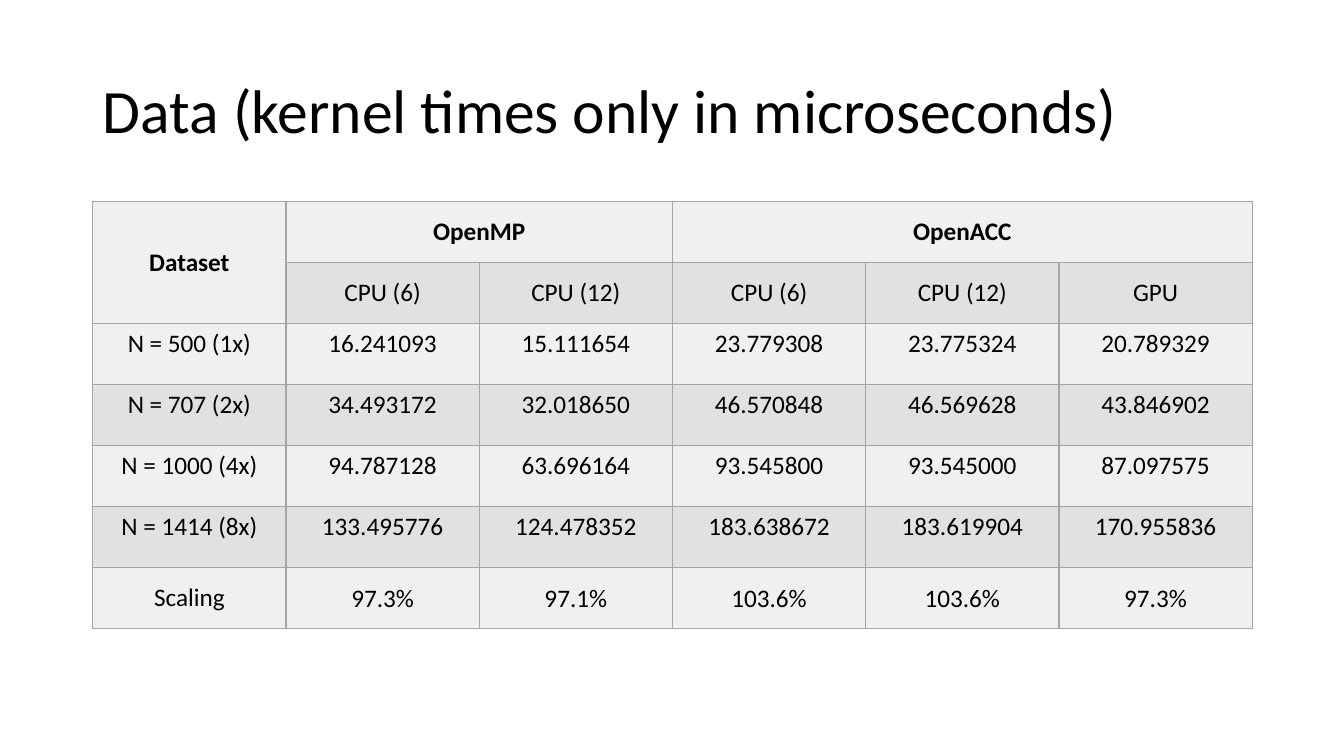
from dataclasses import dataclass
from lxml.etree import SubElement
from pptx import Presentation
from pptx.dml.color import RGBColor
from pptx.enum.text import MSO_ANCHOR, MSO_AUTO_SIZE, PP_ALIGN
from pptx.oxml.ns import qn
from pptx.util import Inches, Pt


@dataclass(frozen=True)
class Theme:
    font: str = "Calibri"
    text: RGBColor = RGBColor(0, 0, 0)
    bands: tuple = (RGBColor(0xF0, 0xF0, 0xF0), RGBColor(0xE1, 0xE1, 0xE1))
    border: str = "A5A5A5"
    border_width: int = Pt(1)
    title_size: int = Pt(44)
    cell_size: int = Pt(18)


theme = Theme()


def style(p, size, align, bold=False):
    p.alignment = align
    p.font.name = theme.font
    p.font.size = size
    p.font.bold = bold
    p.font.color.rgb = theme.text


def add_borders(cell):
    tcPr = cell._tc.get_or_add_tcPr()
    for side in ("lnL", "lnR", "lnT", "lnB"):
        ln = SubElement(tcPr, qn(f"a:{side}"), w=str(theme.border_width))
        fill = SubElement(ln, qn("a:solidFill"))
        SubElement(fill, qn("a:srgbClr"), val=theme.border)


rows = [
    ["Dataset", "OpenMP", "", "OpenACC", "", ""],
    ["", "CPU (6)", "CPU (12)", "CPU (6)", "CPU (12)", "GPU"],
    ["N = 500 (1x)", "16.241093", "15.111654", "23.779308", "23.775324", "20.789329"],
    ["N = 707 (2x)", "34.493172", "32.018650", "46.570848", "46.569628", "43.846902"],
    ["N = 1000 (4x)", "94.787128", "63.696164", "93.545800", "93.545000", "87.097575"],
    ["N = 1414 (8x)", "133.495776", "124.478352", "183.638672", "183.619904", "170.955836"],
    ["Scaling", "97.3%", "97.1%", "103.6%", "103.6%", "97.3%"],
]
merges = [((0, 0), (1, 0)), ((0, 1), (0, 2)), ((0, 3), (0, 5))]
middle_rows = (0, 1, len(rows) - 1)

prs = Presentation()
prs.slide_width, prs.slide_height = Inches(13.33), Inches(7.5)
s = prs.slides.add_slide(prs.slide_layouts[5])

title = s.shapes.title
title.left, title.top = Inches(0.92), Inches(0.4)
title.width, title.height = Inches(11.5), Inches(1.45)
tf = title.text_frame
tf.text = "Data (kernel times only in microseconds)"
tf.word_wrap = True
tf.auto_size = MSO_AUTO_SIZE.NONE
tf.vertical_anchor = MSO_ANCHOR.MIDDLE
style(tf.paragraphs[0], theme.title_size, PP_ALIGN.LEFT)
tf.paragraphs[0].line_spacing = 0.9

table = s.shapes.add_table(
    len(rows), len(rows[0]), Inches(0.92), Inches(2), Inches(11.5), Inches(4.24)
).table
for r, values in enumerate(rows):
    for c, value in enumerate(values):
        cell = table.cell(r, c)
        cell.text = value
        style(cell.text_frame.paragraphs[0], theme.cell_size, PP_ALIGN.CENTER, r == 0)
        cell.vertical_anchor = MSO_ANCHOR.MIDDLE if r in middle_rows else MSO_ANCHOR.TOP
        add_borders(cell)
        cell.fill.solid()
        cell.fill.fore_color.rgb = theme.bands[r % 2]
        if r == len(rows) - 1 and c > 0:
            cell.margin_left = cell.margin_right = cell.margin_top = Inches(0.01)
            cell.margin_bottom = 0

for first, last in merges:
    table.cell(*first).merge(table.cell(*last))

prs.save("out.pptx")
